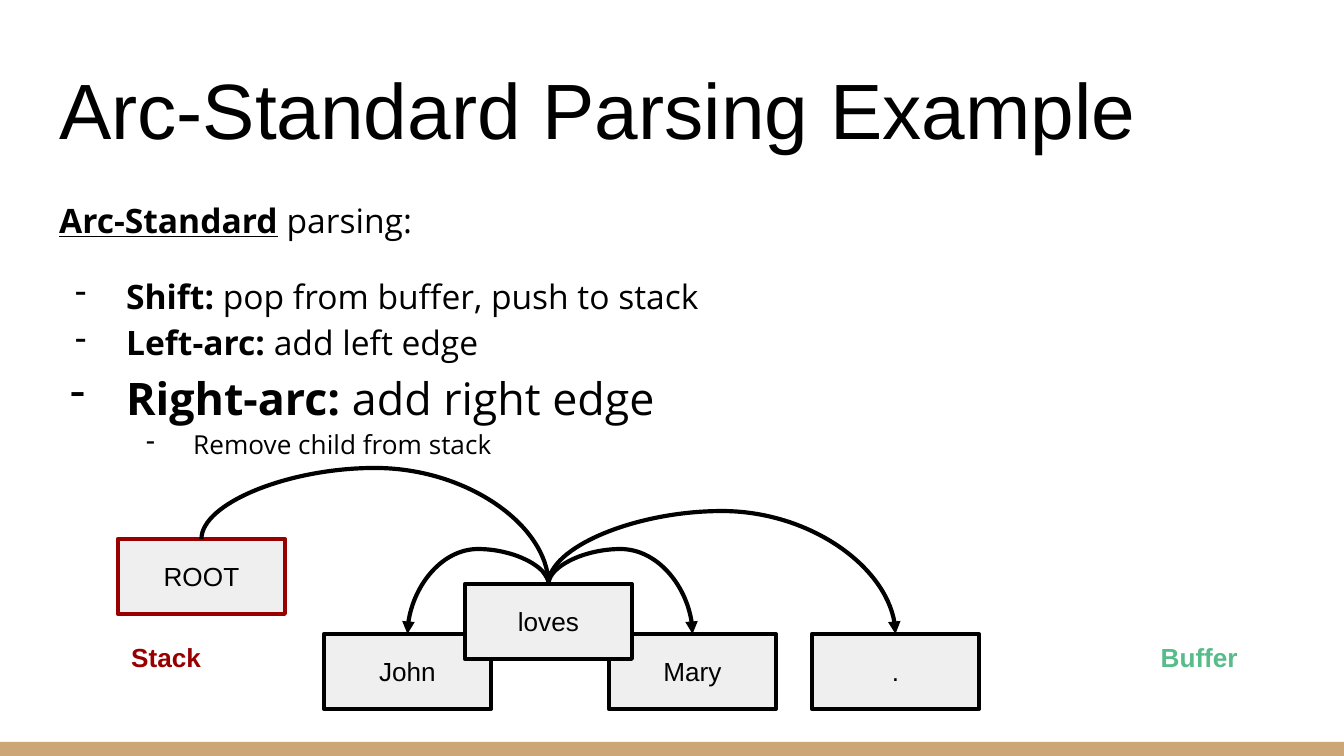
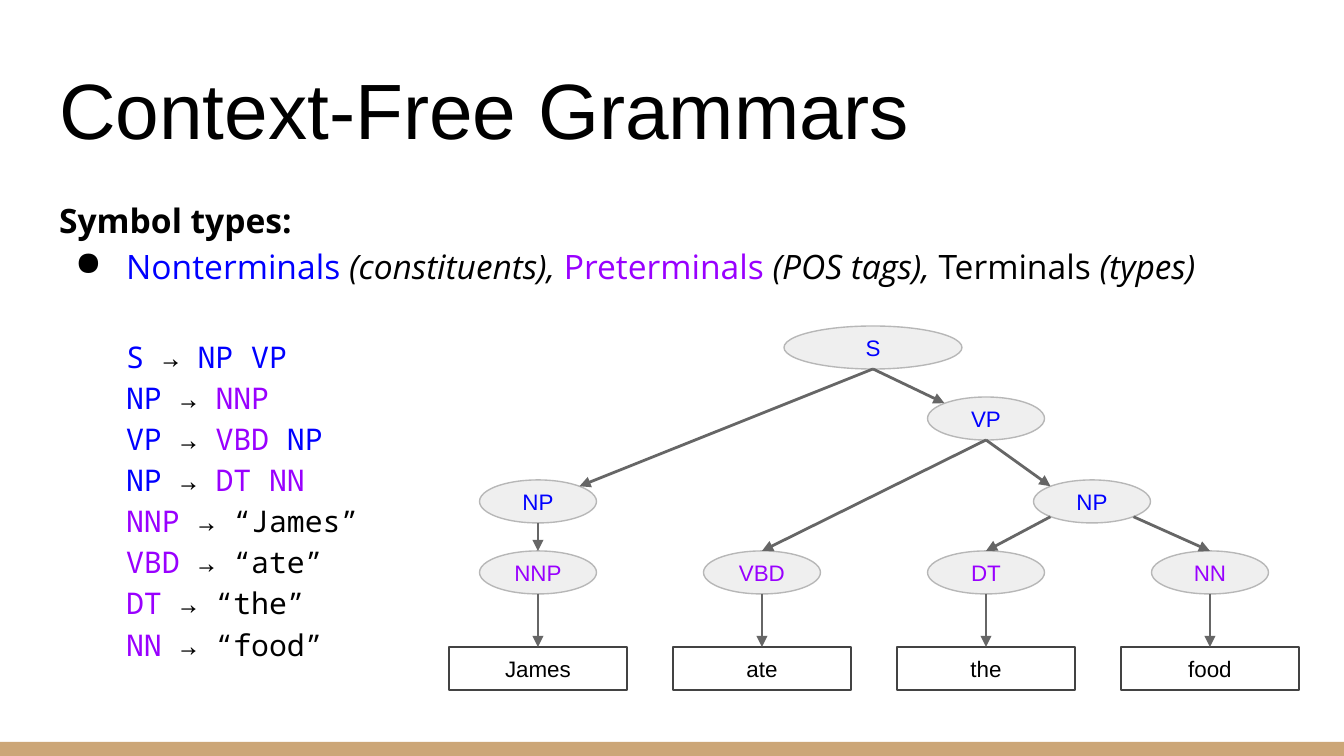
from lxml import etree
from pptx import Presentation
from pptx import util as u
from pptx.dml.color import RGBColor
from pptx.enum import shapes, text
from pptx.oxml import ns

PX = 914400 / 134.4
BLACK = RGBColor(0x00, 0x00, 0x00)
TAN = RGBColor(0xCC, 0xA6, 0x77)
PALE = RGBColor(0xEF, 0xEF, 0xEF)
MAROON = RGBColor(0x98, 0x00, 0x00)
GREEN = RGBColor(0x57, 0xBB, 0x8A)
BLUE = RGBColor(0x00, 0x00, 0xFF)
PURPLE = RGBColor(0x99, 0x00, 0xFF)
SILVER = RGBColor(0xB7, 0xB7, 0xB7)
CHARCOAL = RGBColor(0x43, 0x43, 0x43)
GREY = RGBColor(0x66, 0x66, 0x66)

RECT = shapes.MSO_SHAPE.RECTANGLE
OVAL = shapes.MSO_SHAPE.OVAL
LEFT, CENTER, RIGHT = text.PP_ALIGN.LEFT, text.PP_ALIGN.CENTER, text.PP_ALIGN.RIGHT
TOP, MIDDLE, BOTTOM = text.MSO_ANCHOR.TOP, text.MSO_ANCHOR.MIDDLE, text.MSO_ANCHOR.BOTTOM


def write(holder, lines, anchor=TOP, **base):
    frame = holder.text_frame
    margin = round(13.44 * PX)
    frame_format = {"word_wrap": True, "vertical_anchor": anchor, "margin_left": margin,
                    "margin_right": margin, "margin_top": margin, "margin_bottom": margin}
    for key, value in frame_format.items():
        setattr(frame, key, value)
    for i, (layout, runs) in enumerate(lines):
        line = frame.add_paragraph() if i else frame.paragraphs[0]
        line.alignment = layout.get("align", LEFT)
        line.level = layout.get("level", 0)
        for key in ("line_spacing", "space_before"):
            if key in layout:
                setattr(line, key, layout[key])
        props = line._p.get_or_add_pPr()
        props.set("marL", str(round(layout.get("margin", 0) * PX)))
        props.set("indent", str(round(layout.get("hang", 0) * PX)))
        if "bullet" in layout:
            tint = etree.SubElement(props, ns.qn("a:buClr"))
            etree.SubElement(tint, ns.qn("a:srgbClr"), val=str(BLACK))
            etree.SubElement(props, ns.qn("a:buChar"), char=layout["bullet"])
        for words, changes in runs:
            run = line.add_run()
            run.text = words
            style = {"name": "Arial", "color": BLACK, **base, **changes}
            run.font.color.rgb = style.pop("color")
            style["size"] = u.Pt(style["size"])
            for key, value in style.items():
                setattr(run.font, key, value)


def join(slide, kind, ends, color, width):
    arrow = slide.shapes.add_connector(kind, *(round(end * PX) for end in ends))
    arrow.line.color.rgb = color
    arrow.line.width = u.Pt(width)
    props = arrow._element.spPr
    etree.SubElement(props.find(ns.qn("a:ln")), ns.qn("a:tailEnd"), type="triangle")
    etree.SubElement(props, ns.qn("a:effectLst"))
    return props


bold, plain, italic = {"bold": True}, {}, {"italic": True}
blue, purple = {"color": BLUE}, {"color": PURPLE}
large = {"size": 24}
spaced = {"line_spacing": 1.15}
item = {**spaced, "margin": 67, "hang": -51}
dash = {**item, "bullet": "-"}

parsing = [
    (spaced, [("Arc-Standard", {"bold": True, "underline": True}), (" parsing:", plain)]),
    ({**dash, "space_before": u.Pt(16)}, [("Shift:", bold), (" pop from buffer, push to stack", plain)]),
    (dash, [("Left-arc:", bold), (" add left edge", plain)]),
    ({**dash, "hang": -56}, [("Right-arc: ", {**bold, **large}), ("add right edge", large)]),
    ({**dash, "margin": 134, "hang": -47, "level": 1}, [("Remove child from stack", {"size": 14})]),
]

symbols = [
    (spaced, [("Symbol types:", bold)]),
    ({**item, "bullet": "●"}, [
        ("Nonterminals", blue), (" (constituents), ", italic), ("Preterminals ", purple),
        ("(POS tags), ", italic), ("Terminals", plain), (" (types)", italic)]),
]
grammar = [
    [("S ", blue), ("→", plain), (" NP VP", blue)],
    [("NP", blue), (" → ", plain), ("NNP", purple)],
    [("VP", blue), (" → ", plain), ("VBD", purple), (" NP", blue)],
    [("NP", blue), (" → ", plain), ("DT NN", purple)],
]
lexicon = {"NNP": "James", "VBD": "ate", "DT": "the", "NN": "food"}
for tag, word in lexicon.items():
    grammar.append([(tag, purple), (f" → “{word}”", plain)])
for i, rule in enumerate(grammar):
    layout = {**spaced, "margin": 67}
    if i == 0:
        layout["space_before"] = u.Pt(25)
    mono = {"name": "Noto Sans Mono", "size": 16}
    symbols.append((layout, [(words, {**mono, **changes}) for words, changes in rule]))

deck = Presentation()
deck.slide_width = round(1344 * PX)
deck.slide_height = round(756 * PX)

pages = []
for heading, body in (("Arc-Standard Parsing Example", parsing), ("Context-Free Grammars", symbols)):
    page = deck.slides.add_slide(deck.slide_layouts[6])
    band = page.shapes.add_shape(RECT, *(round(v * PX) for v in (0, 742, 1344, 14)))
    band.shadow.inherit = False
    band.fill.solid()
    band.fill.fore_color.rgb = TAN
    band.line.fill.background()
    title = page.shapes.add_textbox(*(round(v * PX) for v in (46, 47, 1253, 122)))
    write(title, [({}, [(heading, {})])], BOTTOM, size=42)
    content = page.shapes.add_textbox(*(round(v * PX) for v in (46, 180, 1253, 493)))
    write(content, body, size=18, name="Open Sans")
    pages.append(page)
parse_page, grammar_page = pages

tokens = {"ROOT": (118, 539, MAROON), "John": (324, 634, BLACK), "Mary": (609, 634, BLACK),
          "loves": (465, 584, BLACK), ".": (812, 634, BLACK)}
nodes = [(parse_page, RECT, word, x, y, 167, 75, PALE, edge, 2.25, BLACK, 14)
         for word, (x, y, edge) in tokens.items()]

columns = [538 + 224 * i for i in range(4)]
tree = {"S": ("S", 873, 326, 178, BLUE), "VP": ("VP", columns[2], 397, 117, BLUE),
        "subject": ("NP", columns[0], 480, 117, BLUE), "object": ("NP", 1092, 480, 117, BLUE)}
for column, (tag, word) in zip(columns, lexicon.items()):
    tree[tag] = (tag, column, 551, 117, PURPLE)
    tree[word] = (word, column, 647, 178, BLACK)
for key, (label, middle, y, w, color) in tree.items():
    leaf = key in lexicon.values()
    nodes.append((grammar_page, RECT if leaf else OVAL, label, middle - w / 2, y, w, 43,
                  None if leaf else PALE, CHARCOAL if leaf else SILVER, 0.75, color, 12))

for page, outline, label, x, y, w, h, fill, edge, width, color, size in nodes:
    node = page.shapes.add_shape(outline, *(round(v * PX) for v in (x, y, w, h)))
    node.shadow.inherit = False
    if fill is None:
        node.fill.background()
    else:
        node.fill.solid()
        node.fill.fore_color.rgb = fill
    node.line.color.rgb = edge
    node.line.width = u.Pt(width)
    write(node, [({"align": CENTER}, [(label, {})])], MIDDLE, size=size, color=color)

for label, x, align, color in (("Stack", 118, LEFT, MAROON), ("Buffer", 942, RIGHT, GREEN)):
    caption = parse_page.shapes.add_textbox(*(round(v * PX) for v in (x, 628, 309, 54)))
    write(caption, [({"align": align}, [(label, {})])], size=14, bold=True, color=color)

for head, child, rise in (("loves", "Mary", 35), ("loves", "John", 35),
                          ("loves", ".", 73), ("ROOT", "loves", 71)):
    x1, y1 = tokens[head][0] + 83.5, tokens[head][1]
    x2, y2 = tokens[child][0] + 83.5, tokens[child][1]
    cx, cy = (x1 + x2) / 2, (y1 + y2) / 2
    span, drop = abs(x2 - x1), y2 - y1
    side = 1 if x2 > x1 else -1
    ends = (cx + side * drop / 2, cy - span / 2, cx - side * drop / 2, cy + span / 2)
    arc = join(parse_page, shapes.MSO_CONNECTOR.CURVE, ends, BLACK, 2.25)
    arc.find(ns.qn("a:xfrm")).set("rot", str((270 if side > 0 else 90) * 60000))
    guides = arc.find(ns.qn("a:prstGeom")).find(ns.qn("a:avLst"))
    etree.SubElement(guides, ns.qn("a:gd"), name="adj1", fmla=f"val {round(-rise / drop * 100000)}")

sites = {"top": (0, -1), "bottom": (0, 1), "top left": (-0.71, -0.71), "top right": (0.71, -0.71),
         "bottom left": (-0.71, 0.71), "bottom right": (0.71, 0.71)}
branches = [("S", "bottom", "subject", "top right"), ("S", "bottom", "VP", "top left"),
            ("VP", "bottom", "VBD", "top"), ("VP", "bottom", "object", "top left"),
            ("subject", "bottom", "NNP", "top"), ("object", "bottom left", "DT", "top"),
            ("object", "bottom right", "NN", "top")]
branches += [(tag, "bottom", word, "top") for tag, word in lexicon.items()]
for parent, start, child, finish in branches:
    ends = []
    for key, site in ((parent, start), (child, finish)):
        label, middle, y, w, color = tree[key]
        across, down = sites[site]
        ends += [middle + across * w / 2, y + 21.5 + down * 21.5]
    join(grammar_page, shapes.MSO_CONNECTOR.STRAIGHT, ends, GREY, 1.5)

deck.save("out.pptx")
